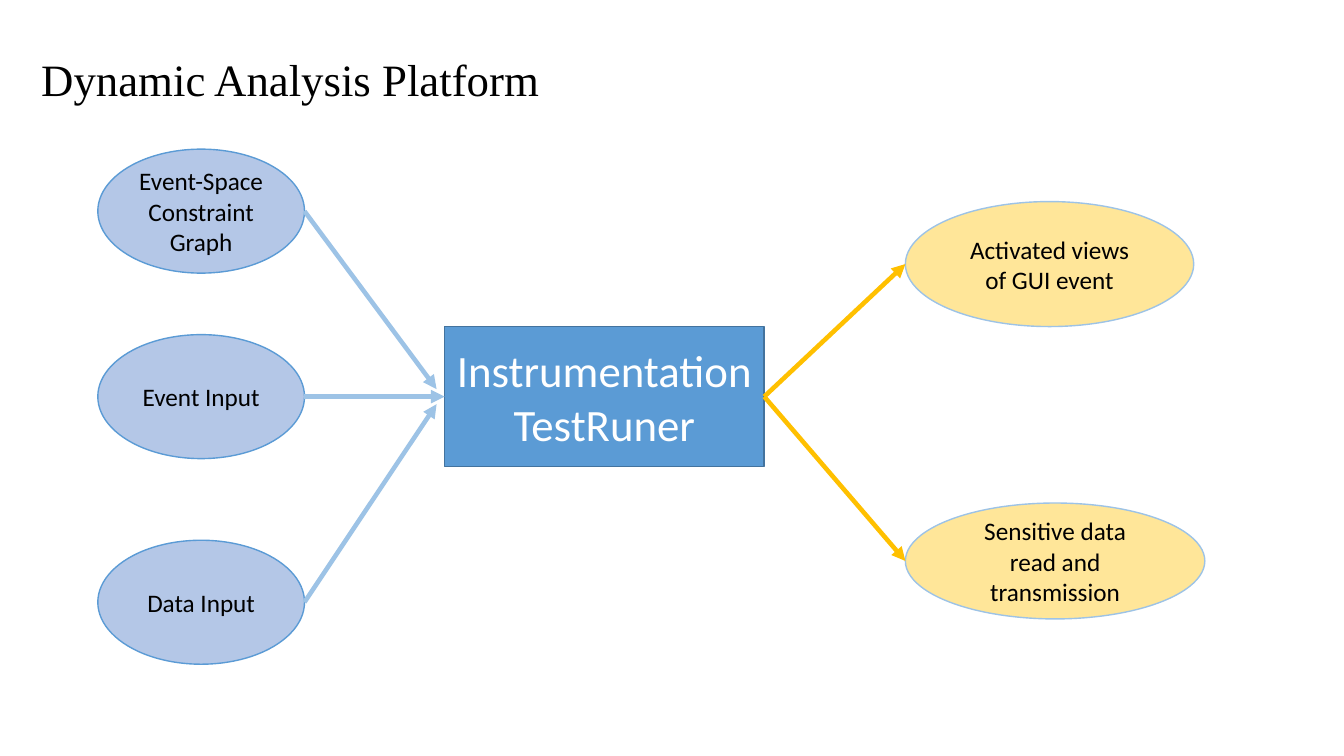
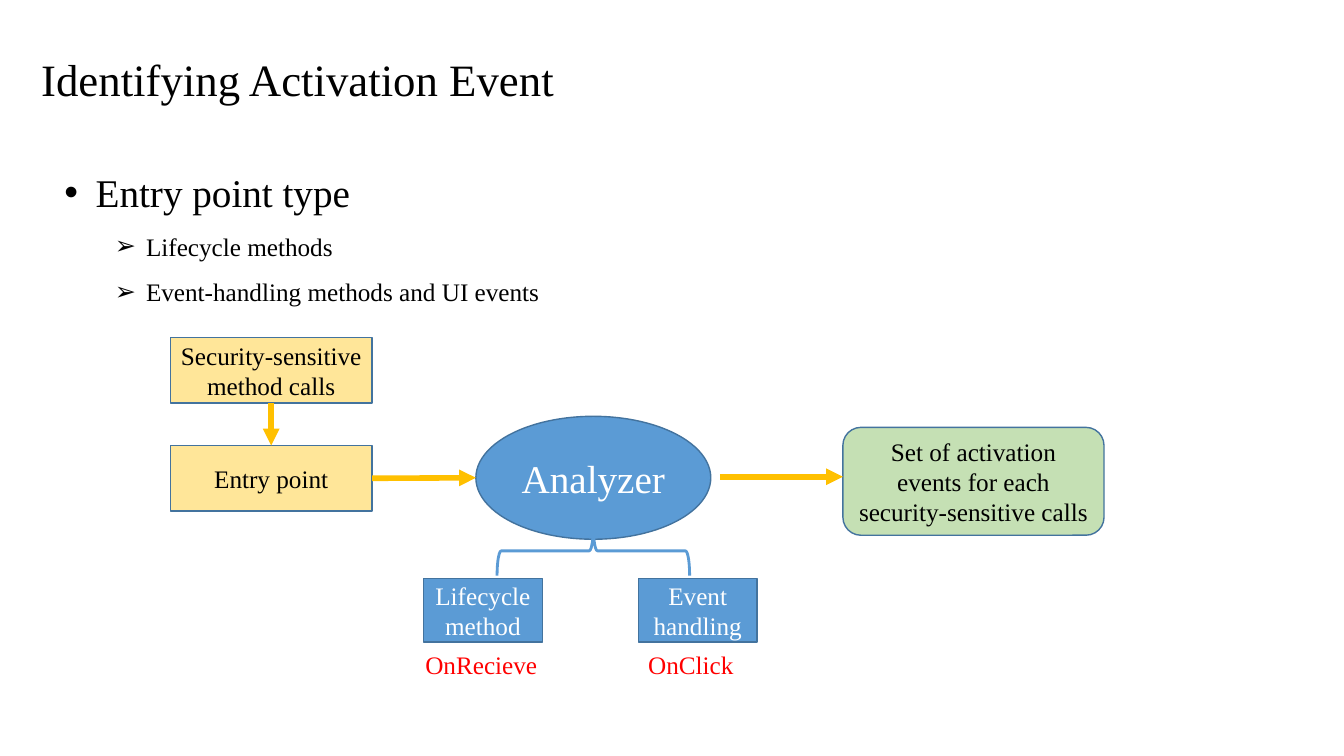
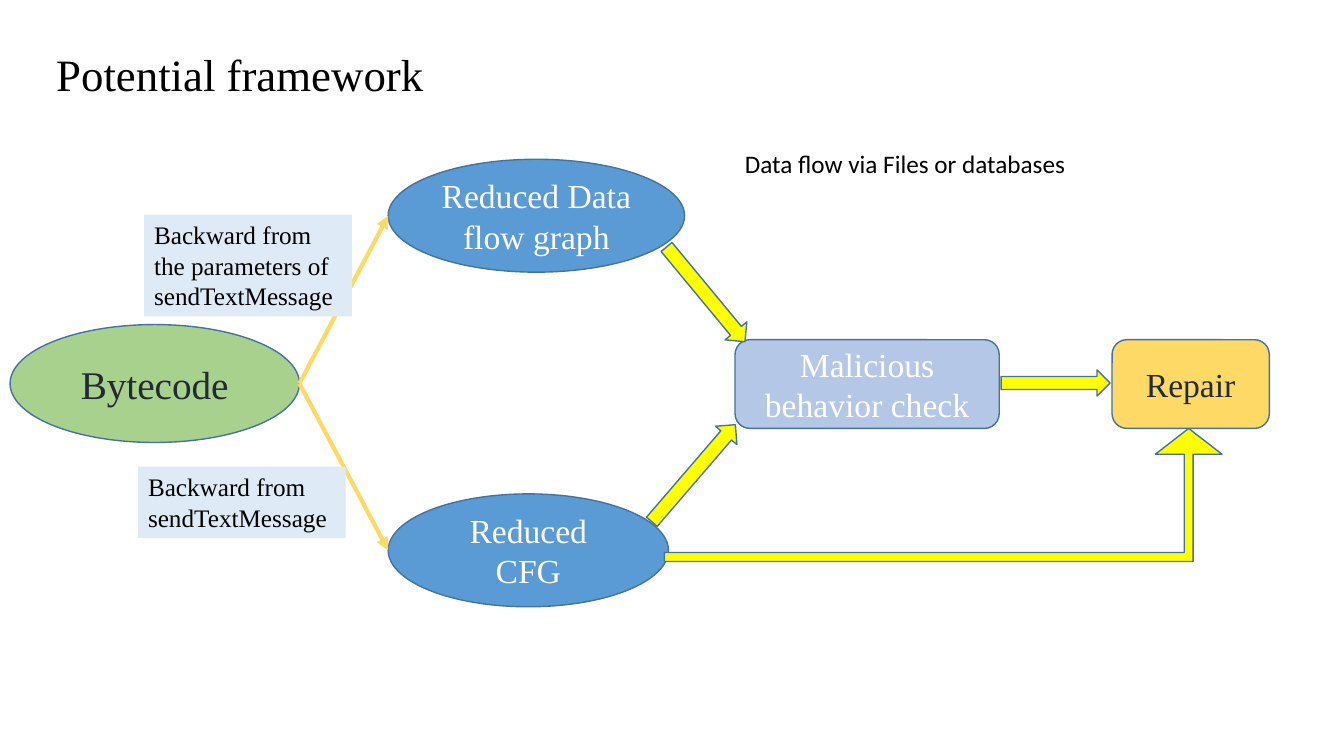
import pptx
import pptx.dml.color
import pptx.enum.shapes
import pptx.enum.text
import pptx.oxml.ns
import pptx.util
import lxml.etree

Inches = pptx.util.Inches
Pt = pptx.util.Pt
Preset = pptx.enum.shapes.MSO_SHAPE
SERIF, SANS = "Times New Roman", "Calibri"

# style: (fill, outline, text colour)
STYLES = {
    "core": ("5B9BD5", "43739E", "FFFFFF"),
    "input": ("B4C7E7", "5B9BD5", "000000"),
    "output": ("FFE699", "9DC3E6", "000000"),
    "entry": ("FFE699", "43739E", "000000"),
    "result": ("C5E0B4", "43739E", "000000"),
    "code": ("A9D18E", "43739E", "222A35"),
    "check": ("B4C7E7", "43739E", "FFFFFF"),
    "repair": ("FFD966", "43739E", "222A35"),
    "flow": ("FFFF00", "43739E", "000000"),
    "brace": (None, "5B9BD5", "000000"),
}

# nodes: name, preset, style, text size, (left, top, width, height), paragraphs
# arrows: start, end; each is a point or a (node name, side) pair
# labels: text, font, colour, fill, (left, top, width, height)
PLATFORM = {
    "title": ("Dynamic Analysis Platform", (0.31, 0.46, 6.38, 0.64)),
    "font": SANS,
    "nodes": [
        ("runner", Preset.RECTANGLE, "core", 32, (4.41, 3.24, 3.17, 1.39),
         ["Instrumentation", "TestRuner"]),
        ("graph", Preset.OVAL, "input", 18, (0.97, 1.48, 2.05, 1.23),
         ["Event-Space Constraint Graph"]),
        ("event", Preset.OVAL, "input", 18, (0.97, 3.32, 2.05, 1.23), ["Event Input"]),
        ("data", Preset.OVAL, "input", 18, (0.97, 5.36, 2.05, 1.23), ["Data Input"]),
        ("views", Preset.OVAL, "output", 18, (8.98, 2, 2.86, 1.24),
         ["Activated views of GUI event"]),
        ("leaks", Preset.OVAL, "output", 18, (8.98, 4.99, 2.97, 1.15),
         ["Sensitive data read and transmission"]),
    ],
    "arrows": [
        ("9DC3E6", 3.25, [(("graph", "right"), (4.33, 3.86)),
                          (("event", "right"), ("runner", "left")),
                          (("data", "right"), (4.33, 4.01))]),
        ("FFC000", 3.25, [(("runner", "right"), ("views", "left")),
                          (("runner", "right"), ("leaks", "left"))]),
    ],
    "labels": [],
}

ACTIVATION = {
    "title": ("Identifying Activation Event", (0.31, 0.46, 6.38, 0.64)),
    "font": SERIF,
    "nodes": [
        ("analyzer", Preset.OVAL, "core", 28, (4.72, 4.13, 2.33, 1.22), ["Analyzer"]),
        ("calls", Preset.RECTANGLE, "entry", 18, (1.69, 3.35, 2, 0.65),
         ["Security-sensitive method calls"]),
        ("entry", Preset.RECTANGLE, "entry", 18, (1.69, 4.42, 2, 0.65), ["Entry point"]),
        ("events", Preset.ROUNDED_RECTANGLE, "result", 18, (8.36, 4.24, 2.59, 1.07),
         ["Set of activation events for each security-sensitive calls"]),
        ("brace", Preset.RIGHT_BRACE, "brace", 18, (5.64, 4.51, 0.49, 1.91), []),
        ("lifecycle", Preset.RECTANGLE, "core", 18, (4.2, 5.74, 1.18, 0.63),
         ["Lifecycle method"]),
        ("handling", Preset.RECTANGLE, "core", 18, (6.33, 5.74, 1.18, 0.63),
         ["Event handling"]),
    ],
    "arrows": [
        ("FFC000", 4, [(("calls", "bottom"), ("entry", "top")),
                       (("entry", "right"), ("analyzer", "left")),
                       ((7.14, 4.73), (8.36, 4.73))]),
    ],
    "labels": [
        ("OnRecieve", SERIF, "FF0000", None, (4.12, 6.39, 1.36, 0.4)),
        ("OnClick", SERIF, "FF0000", None, (6.33, 6.39, 1.36, 0.4)),
    ],
}

FRAMEWORK = {
    "title": ("Potential framework", (0.46, 0.41, 6.43, 0.64)),
    "font": SERIF,
    "nodes": [
        ("bytecode", Preset.OVAL, "code", 28, (0.1, 3.22, 2.87, 1.17), ["Bytecode"]),
        ("check", Preset.ROUNDED_RECTANGLE, "check", 24, (7.29, 3.37, 2.62, 0.88),
         ["Malicious behavior check"]),
        ("cfg", Preset.OVAL, "core", 24, (3.85, 4.9, 2.78, 1.12), ["Reduced CFG"]),
        ("repair", Preset.ROUNDED_RECTANGLE, "repair", 24, (11.03, 3.37, 1.56, 0.88),
         ["Repair"]),
        ("data to check", Preset.DOWN_ARROW, "flow", 18, (6.86, 2.31, 0.28, 1.22), []),
        ("cfg to check", Preset.UP_ARROW, "flow", 18, (6.74, 4.06, 0.28, 1.27), []),
        ("check to repair", Preset.RIGHT_ARROW, "flow", 18, (9.93, 3.67, 1.08, 0.26), []),
        ("data flow", Preset.OVAL, "core", 24, (3.85, 1.58, 2.94, 1.12),
         ["Reduced Data flow graph"]),
        ("cfg to repair", Preset.BENT_UP_ARROW, "flow", 18, (6.59, 4.25, 5.53, 1.32), []),
    ],
    "arrows": [
        ("FFD966", 3, [(("bytecode", "right"), ("cfg", "left")),
                       (("bytecode", "right"), ("data flow", "left"))]),
    ],
    "labels": [
        ("Backward from the parameters of sendTextMessage", SERIF, "000000", "DEEBF7",
         (1.43, 2.13, 2.06, 1.01)),
        ("Backward from sendTextMessage", SERIF, "000000", "DEEBF7",
         (1.37, 4.63, 2.06, 0.71)),
        ("Data flow via Files or databases", SANS, "000000", None,
         (7.29, 1.42, 4.74, 0.4)),
    ],
}

# text, size, level, text indent, bullet
ENTRY_TYPES = [
    ("Entry point type", 28, 0, 0.31, "•"),
    ("Lifecycle methods", 18, 1, 0.81, "➢"),
    ("Event-handling methods and UI events", 18, 1, 0.81, "➢"),
]
BULLET_HANG = 0.31


def color(hex_text):
    """Turn a hex string into a colour."""
    return pptx.dml.color.RGBColor.from_string(hex_text)


def add_child(parent, tag, **attributes):
    """Append a DrawingML element to a parent element."""
    return lxml.etree.SubElement(parent, pptx.oxml.ns.qn(tag), attributes)


def add_run(paragraph, text, size, font, text_color):
    """Add one formatted run to a paragraph."""
    run = paragraph.add_run()
    run.text = text
    run.font.size = Pt(size)
    run.font.name = font
    run.font.color.rgb = color(text_color)


def add_text(slide, text, size, font, text_color, box, fill=None):
    """Add a wrapping text box that fits its text."""
    shape = slide.shapes.add_textbox(*map(Inches, box))
    frame = shape.text_frame
    frame.word_wrap = True
    frame.auto_size = pptx.enum.text.MSO_AUTO_SIZE.SHAPE_TO_FIT_TEXT
    if fill:
        shape.fill.solid()
        shape.fill.fore_color.rgb = color(fill)
    if text:
        add_run(frame.paragraphs[0], text, size, font, text_color)
    return shape


def add_node(slide, preset, style, size, font, box, lines):
    """Add a preset shape with centred text in a named style."""
    fill, outline, text_color = STYLES[style]
    shape = slide.shapes.add_shape(preset, *map(Inches, box))
    shape.shadow.inherit = False
    if fill:
        shape.fill.solid()
        shape.fill.fore_color.rgb = color(fill)
    else:
        shape.fill.background()
    shape.line.color.rgb = color(outline)
    shape.line.width = Pt(1)
    frame = shape.text_frame
    frame.word_wrap = True
    frame.vertical_anchor = pptx.enum.text.MSO_ANCHOR.MIDDLE
    for index, line in enumerate(lines):
        paragraph = frame.add_paragraph() if index else frame.paragraphs[0]
        paragraph.alignment = pptx.enum.text.PP_ALIGN.CENTER
        add_run(paragraph, line, size, font, text_color)
    return shape


def locate(end, nodes):
    """Return the point for a coordinate pair or the middle of a node's side."""
    if not isinstance(end[0], str):
        return Inches(end[0]), Inches(end[1])
    shape, side = nodes[end[0]], end[1]
    across, down = {"left": (0, 0.5), "right": (1, 0.5),
                    "top": (0.5, 0), "bottom": (0.5, 1)}[side]
    return (int(shape.left + across * shape.width),
            int(shape.top + down * shape.height))


def add_arrow(slide, start, end, line_color, width):
    """Add a straight connector with a triangle at its end."""
    connector = slide.shapes.add_connector(
        pptx.enum.shapes.MSO_CONNECTOR.STRAIGHT, *start, *end)
    connector.line.color.rgb = color(line_color)
    connector.line.width = Pt(width)
    add_child(connector.line._get_or_add_ln(), "a:tailEnd", type="triangle")
    add_child(connector._element.spPr, "a:effectLst")


def add_bullets(slide, items, box):
    """Add a bulleted list with hanging indents."""
    frame = add_text(slide, "", 18, SERIF, "000000", box).text_frame
    for index, (text, size, level, indent, bullet) in enumerate(items):
        paragraph = frame.add_paragraph() if index else frame.paragraphs[0]
        paragraph.level = level
        paragraph.line_spacing = 1.5
        properties = paragraph._p.get_or_add_pPr()
        properties.set("marL", str(Inches(indent)))
        properties.set("indent", str(-Inches(BULLET_HANG)))
        add_child(properties, "a:buFont", typeface="Arial")
        add_child(properties, "a:buChar", char=bullet)
        add_run(paragraph, text, size, SERIF, "000000")


def build_slide(presentation, content):
    """Build a titled diagram and return the slide with its named nodes."""
    slide = presentation.slides.add_slide(presentation.slide_layouts[6])
    title, title_box = content["title"]
    add_text(slide, title, 32, SERIF, "000000", title_box)
    nodes = {}
    for name, preset, style, size, box, lines in content["nodes"]:
        nodes[name] = add_node(slide, preset, style, size, content["font"], box, lines)
    for line_color, width, pairs in content["arrows"]:
        for start, end in pairs:
            add_arrow(slide, locate(start, nodes), locate(end, nodes), line_color, width)
    for text, font, text_color, fill, box in content["labels"]:
        add_text(slide, text, 18, font, text_color, box, fill)
    return slide, nodes


presentation = pptx.Presentation()
presentation.slide_width = Inches(13.33)
presentation.slide_height = Inches(7.5)

build_slide(presentation, PLATFORM)

activation_slide, activation_nodes = build_slide(presentation, ACTIVATION)
add_bullets(activation_slide, ENTRY_TYPES, (0.54, 1.39, 12.32, 1.72))
activation_nodes["brace"].rotation = 270
activation_nodes["brace"].line.width = Pt(2)

framework_slide, framework_nodes = build_slide(presentation, FRAMEWORK)
framework_nodes["data to check"].rotation = 320.4
framework_nodes["cfg to check"].rotation = 40.7
for index, value in enumerate((0.067, 0.25, 0.194)):
    framework_nodes["cfg to repair"].adjustments[index] = value

presentation.save("out.pptx")
